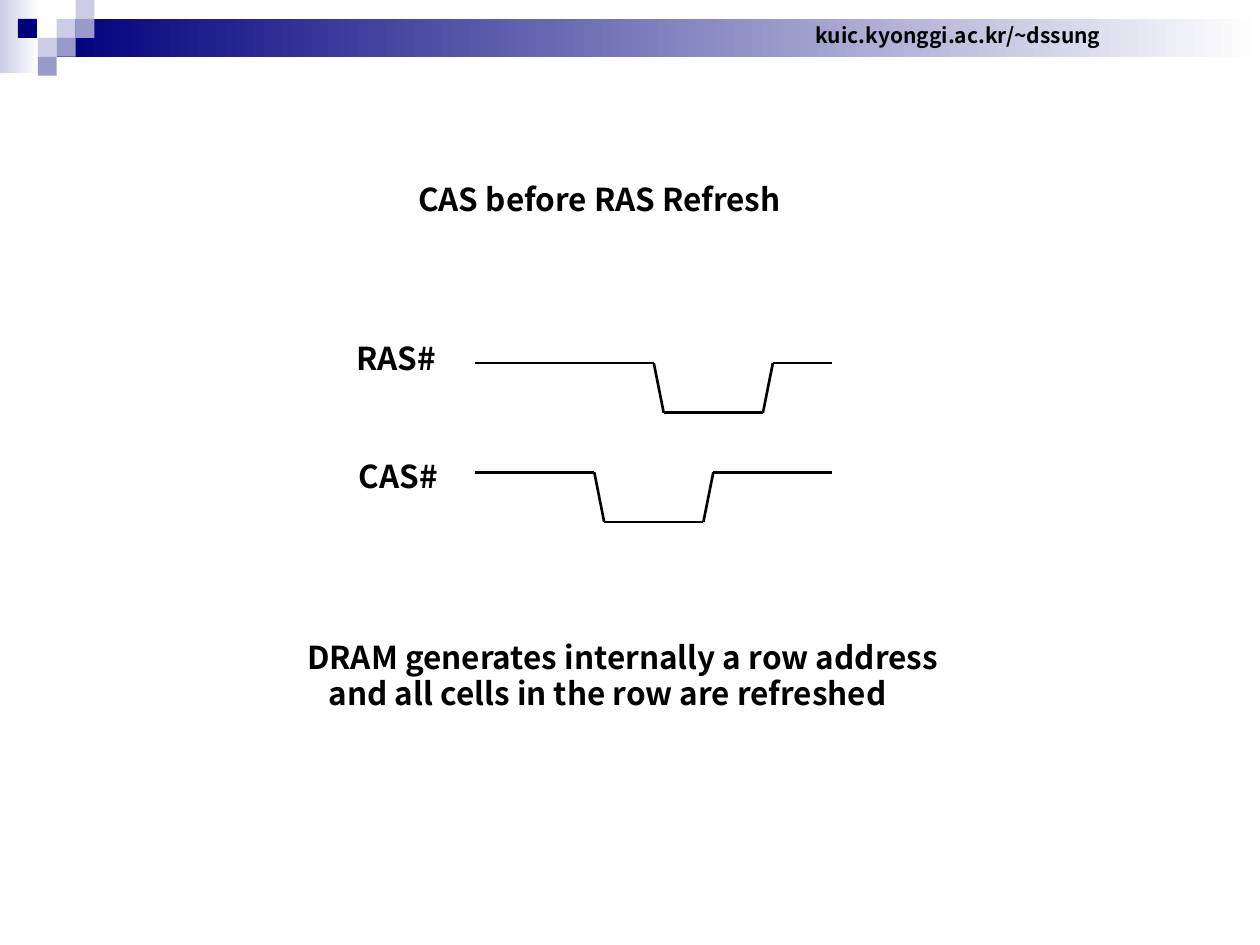
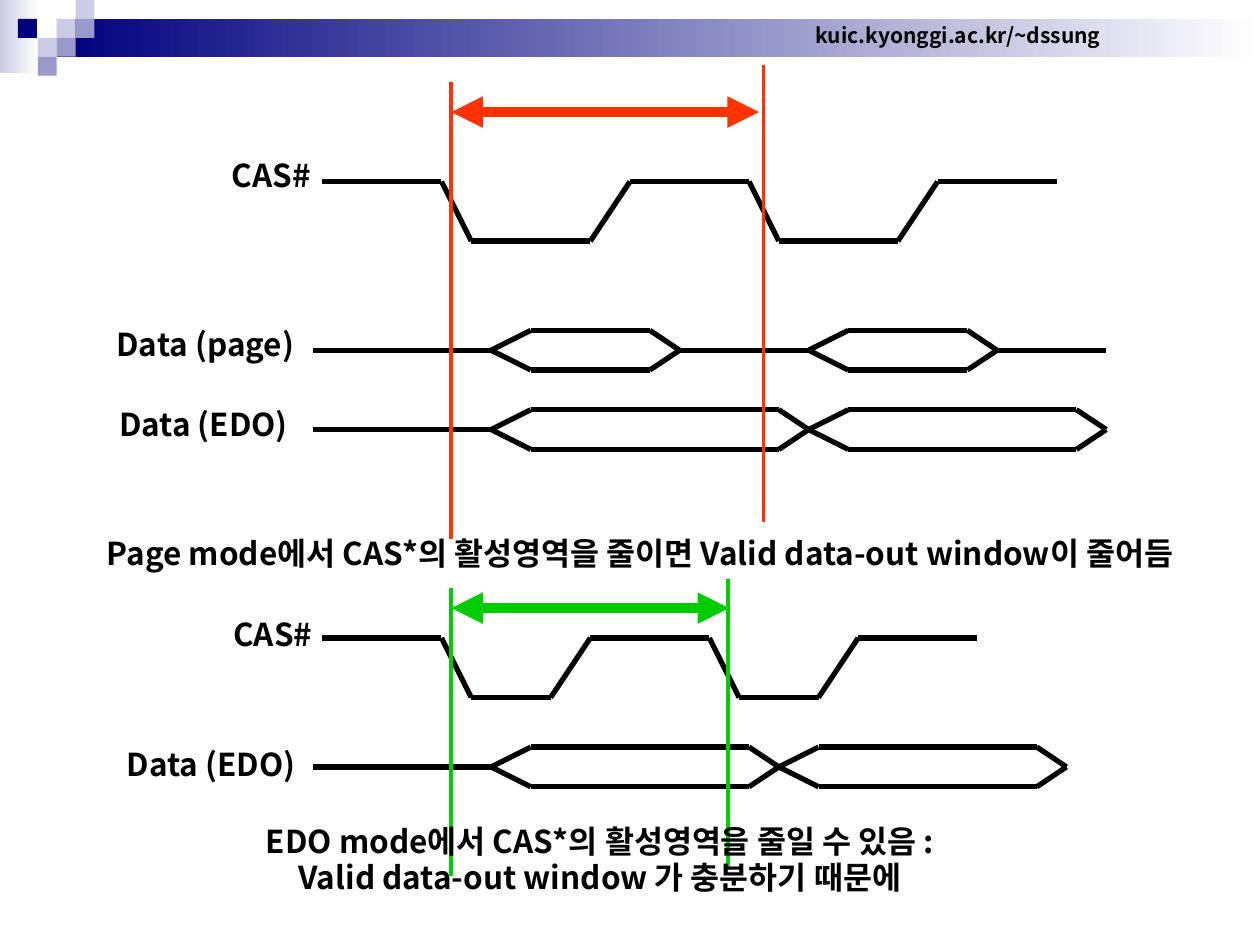
from dataclasses import dataclass
from itertools import pairwise

from lxml.etree import SubElement
from pptx import Presentation
from pptx.dml.color import RGBColor
from pptx.enum.shapes import MSO_CONNECTOR, MSO_SHAPE
from pptx.enum.text import MSO_ANCHOR, PP_ALIGN
from pptx.oxml.ns import qn
from pptx.util import Inches, Pt


@dataclass(frozen=True)
class Theme:
    font: str = "Noto Sans CJK KR"
    ink: str = "000000"
    paper: str = "FFFFFF"
    navy: str = "00007D"
    violet: str = "9999CC"
    lilac: str = "CCCCE6"
    page_mode: str = "FF3300"
    edo_mode: str = "00CC00"
    body_size: int = 18
    header_size: int = 12
    thin: float = 1.5
    thick: float = 3
    marker: float = 2.25
    arrow: float = 6


@dataclass(frozen=True)
class Grid:
    """Square cells, with the origin shifted by a part of a cell."""
    cell: float
    shift_x: float = 0
    shift_y: float = 0

    def point(self, column, row):
        return (Inches((column + self.shift_x) * self.cell),
                Inches((row + self.shift_y) * self.cell))

    def size(self, columns, rows):
        return Inches(columns * self.cell), Inches(rows * self.cell)


THEME = Theme()
WIDTH, HEIGHT = 10, 7.5
TEXT_GRID = Grid(WIDTH / 100)
HEADER_GRID = Grid(0.15)
REFRESH_GRID = Grid(WIDTH / 127, 0.9, 0.6)
MODES_GRID = Grid(WIDTH / 127, 0.5, 0.3)


# Basic elements
def add_text(page, text, at, size=THEME.body_size, align=PP_ALIGN.LEFT,
             anchor=MSO_ANCHOR.TOP, indents=()):
    left, top, width, height = at
    box = page.shapes.add_textbox(*TEXT_GRID.point(left, top),
                                  *TEXT_GRID.size(width, height))
    frame = box.text_frame
    frame.word_wrap = False
    frame.vertical_anchor = anchor
    for index, line in enumerate(text.split("\n")):
        para = frame.add_paragraph() if index else frame.paragraphs[0]
        para.alignment = align
        para.line_spacing = Pt(round(size * 1.17))
        if index < len(indents):
            para._p.get_or_add_pPr().set("marL", str(Inches(indents[index])))
        span = para.add_run()
        span.text = line
        span.font.name = THEME.font
        span.font.size = Pt(size)
        span.font.bold = True
        span.font.color.rgb = RGBColor.from_string(THEME.ink)
        east_asian = SubElement(span._r.get_or_add_rPr(), qn("a:ea"))
        east_asian.set("typeface", THEME.font)


def add_block(page, at, color, fade_to=None):
    column, row, columns, rows = at
    block = page.shapes.add_shape(MSO_SHAPE.RECTANGLE,
                                  *HEADER_GRID.point(column, row),
                                  *HEADER_GRID.size(columns, rows))
    block.shadow.inherit = False
    block.line.fill.background()
    if fade_to:
        block.fill.gradient()
        block.fill.gradient_angle = 0
        for stop, shade in zip(block.fill.gradient_stops, (color, fade_to)):
            stop.color.rgb = RGBColor.from_string(shade)
    else:
        block.fill.solid()
        block.fill.fore_color.rgb = RGBColor.from_string(color)


def add_line(page, grid, start, end, weight, color=THEME.ink, arrows=False):
    line = page.shapes.add_connector(MSO_CONNECTOR.STRAIGHT,
                                     *grid.point(*start), *grid.point(*end))
    line.line.width = Pt(weight)
    line.line.color.rgb = RGBColor.from_string(color)
    if arrows:
        for tag in ("a:headEnd", "a:tailEnd"):
            SubElement(line.line._ln, qn(tag)).set("type", "triangle")
    SubElement(line._element.spPr, qn("a:effectLst"))


def add_trace(page, grid, points, weight):
    for start, end in pairwise(points):
        add_line(page, grid, start, end, weight)


# Timing diagram elements
def add_strobe(page, grid, start, end, high, depth, pulses, weight):
    """Each pulse gives the columns: fall, low from, low to, risen."""
    low = high + depth
    points = [(start, high)]
    for pulse in pulses:
        points += zip(pulse, (high, low, low, high))
    add_trace(page, grid, points + [(end, high)], weight)


def add_data_bus(page, grid, start, end, middle, windows, weight, spread=2):
    """Each window gives the columns: open, full from, full to, closed."""
    idle_from = start
    for window in windows:
        if window[0] > idle_from:
            add_line(page, grid, (idle_from, middle), (window[0], middle), weight)
        for edge in (middle - spread, middle + spread):
            add_trace(page, grid, list(zip(window, (middle, edge, edge, middle))), weight)
        idle_from = window[-1]
    if end > idle_from:
        add_line(page, grid, (idle_from, middle), (end, middle), weight)


def add_cycle(page, grid, markers, arrow_row, arrow_end, color):
    """Each marker gives its column, top row and bottom row."""
    for column, top, bottom in markers:
        add_line(page, grid, (column, top), (column, bottom), THEME.marker, color)
    add_line(page, grid, (markers[0][0], arrow_row), (arrow_end, arrow_row),
             THEME.arrow, color, arrows=True)


def add_header(page):
    add_block(page, (0, 0, 2.07, 3.87), THEME.lilac, THEME.paper)
    add_block(page, (3, 1, WIDTH / 0.15 - 3, 2), THEME.navy, THEME.paper)
    squares = {THEME.lilac: [(3, 1), (4, 0), (2, 2)],
               THEME.violet: [(4, 1), (3, 2), (2, 3)],
               THEME.navy: [(0.95, 1)]}
    # The violet square at (4, 1) lies over the gradient band
    for color, cells in squares.items():
        for column, row in cells:
            add_block(page, (column, row, 1, 1), color)
    add_text(page, "kuic.kyonggi.ac.kr/~dssung", (63.6, 1.3, 24.9, 3),
             size=THEME.header_size, align=PP_ALIGN.CENTER, anchor=MSO_ANCHOR.MIDDLE)


# Slides
def build_refresh(page):
    add_text(page, "CAS before RAS Refresh", (32.2, 13.9, 31.2, 4))
    add_text(page, "RAS#", (27.3, 26.5, 8.3, 4))
    add_text(page, "CAS#", (27.5, 35.9, 8.3, 4))
    for high, pulse in ((36, (65, 66, 76, 77)), (47, (59, 60, 70, 71))):
        add_strobe(page, REFRESH_GRID, 47, 83, high, 5, [pulse], THEME.thin)
    add_text(page, "DRAM generates internally a row address\n"
                   "and all cells in the row are refreshed",
             (23.4, 50.2, 53.7, 7), indents=(0, 0.17))


def build_modes(page):
    grid, weight = MODES_GRID, THEME.thick

    # Page mode against EDO
    add_strobe(page, grid, 32, 106, 18, 6,
               [(44, 47, 59, 63), (75, 78, 90, 94)], weight)
    add_data_bus(page, grid, 31, 111, 35,
                 [(49, 53, 65, 68), (81, 85, 97, 100)], weight)
    add_data_bus(page, grid, 31, 111, 43,
                 [(49, 53, 78, 81), (81, 85, 108, 111)], weight)
    add_cycle(page, grid, [(45, 8, 54), (76.46, 6.3, 52.3)], 11, 76, THEME.page_mode)

    # EDO with a shorter cycle
    add_strobe(page, grid, 32, 98, 64, 6,
               [(44, 47, 55, 59), (71, 74, 82, 86)], weight)
    add_data_bus(page, grid, 31, 107, 77,
                 [(49, 53, 75, 78), (78, 82, 104, 107)], weight)
    add_cycle(page, grid, [(45, 59, 88), (72.9, 58.1, 87.2)], 61, 73, THEME.edo_mode)

    # Labels and remarks
    texts = [
        ("CAS#", (17.4, 12, 8.3, 4)),
        ("CAS#", (17.5, 48.4, 8.3, 4)),
        ("Data (page)", (8.1, 25.4, 16.4, 4)),
        ("Data (EDO)", (8.4, 31.7, 15.5, 4)),
        ("Data (EDO)", (9, 58.7, 15.5, 4)),
        ("Page mode에서 CAS*의 활성영역을 줄이면 Valid data-out window이 줄어듬",
         (5.3, 42, 91, 4)),
        ("EDO mode에서 CAS*의 활성영역을 줄일 수 있음 :\n"
         "Valid data-out window 가 충분하기 때문에", (18.5, 64.8, 58.2, 7)),
    ]
    for text, at in texts:
        add_text(page, text, at, align=PP_ALIGN.CENTER)


def main():
    deck = Presentation()
    deck.slide_width, deck.slide_height = Inches(WIDTH), Inches(HEIGHT)
    for build in (build_refresh, build_modes):
        page = deck.slides.add_slide(deck.slide_layouts[6])
        add_header(page)
        build(page)
    deck.save("out.pptx")


if __name__ == "__main__":
    main()
